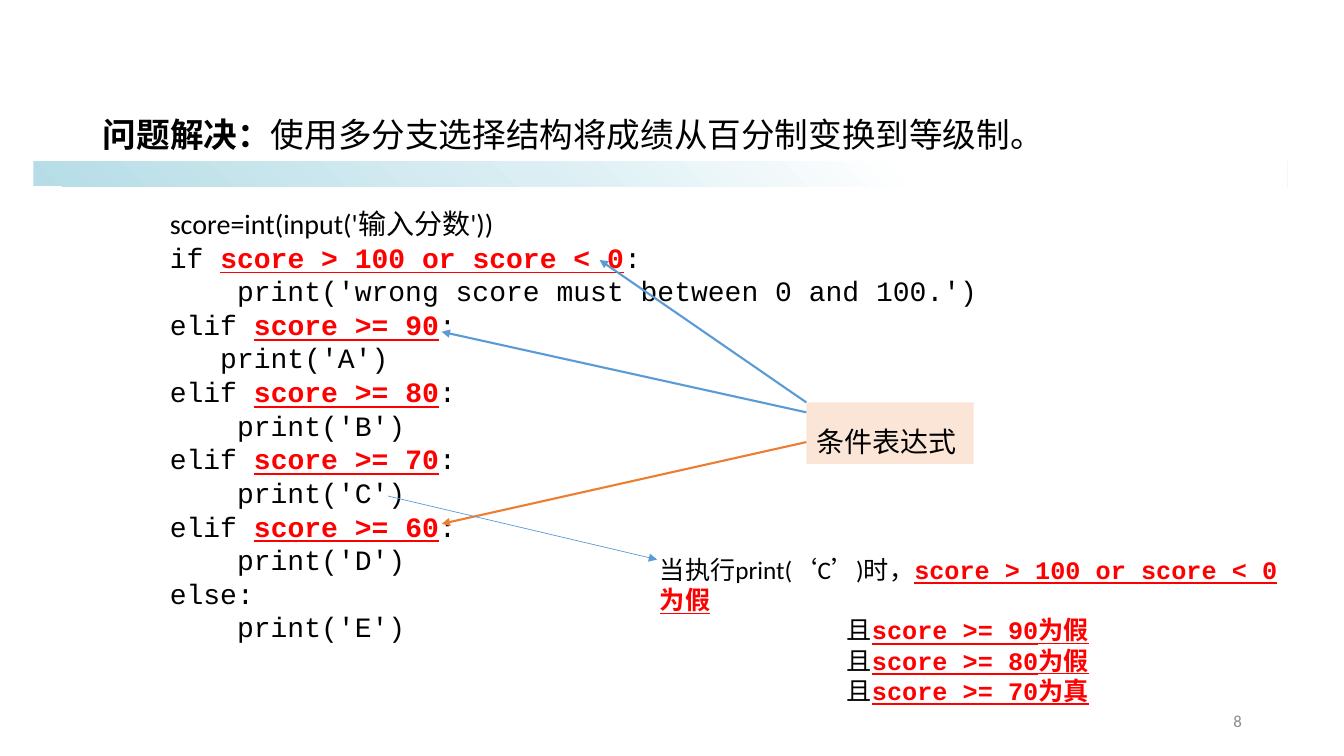
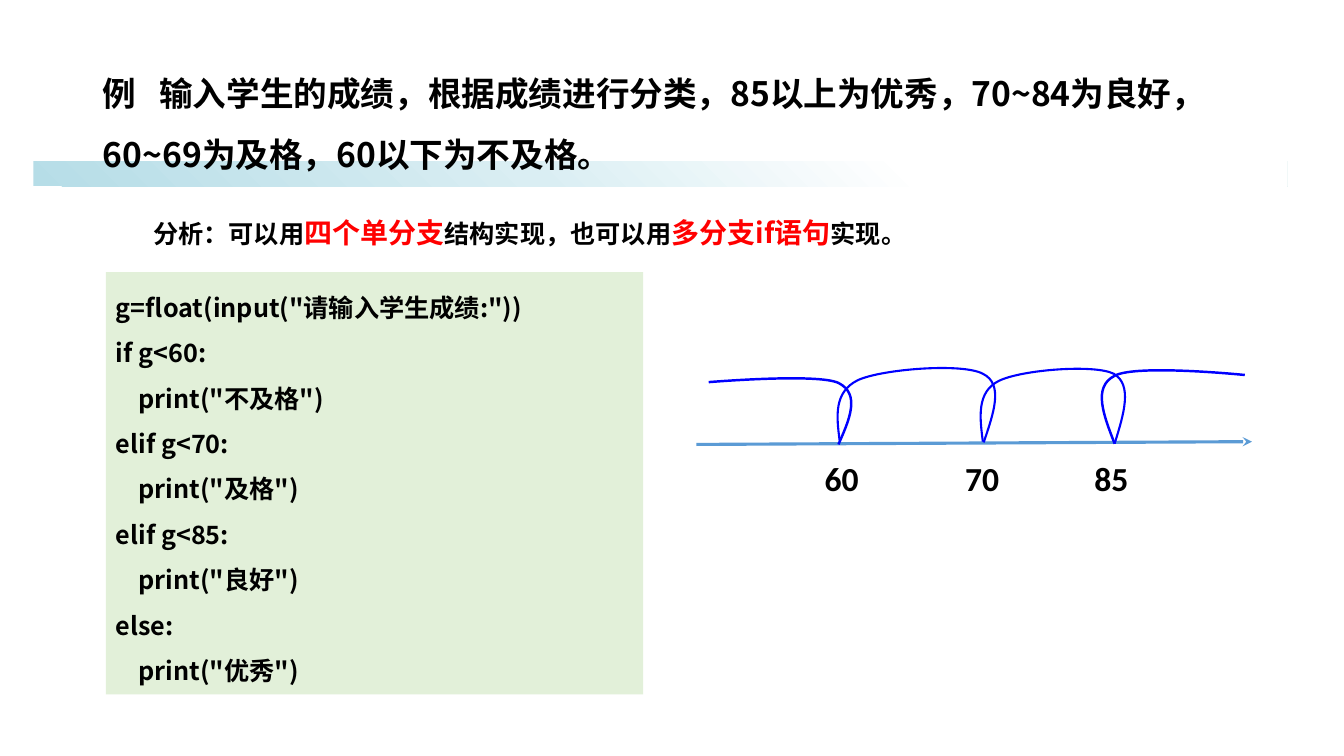
from dataclasses import dataclass

from lxml import etree
from pptx import Presentation
from pptx.dml.color import RGBColor
from pptx.enum import shapes, text
from pptx.oxml import ns
from pptx.util import Cm, Pt


@dataclass(frozen=True)
class Theme:
    black: str = "000000"
    red: str = "FF0000"
    gray: str = "8C8C8C"
    blue: str = "5B9BD5"
    orange: str = "ED7D31"
    curve: str = "0000FF"
    peach: str = "FBE5D6"
    green: str = "E2F0D9"
    band: tuple = ((0, "B6DDE7"), (40, "DAEEF3"), (70, "FFFFFF"), (100, "FFFFFF"))
    sans: str = "Noto Sans CJK SC"
    latin: str = "Calibri"
    mono: str = "Courier New"
    title: int = 24
    large: int = 20
    body: int = 18
    small: int = 12
    leading: float = 1.2


THEME = Theme()
TITLE_BOX = (2.34, 1.02, 29.21, 3.68)
BAND_BOX = (0.84, 4.06, 31.6, 0.64)


def style(name, size, color=THEME.black, bold=False, underline=False):
    return dict(name=name, size=Pt(size), color=color, bold=bold, underline=underline)


def add_child(parent, tag, **attributes):
    return etree.SubElement(parent, ns.qn(tag), attributes)


def format_run(run, values):
    for key, value in values.items():
        if key == "color":
            run.font.color.rgb = RGBColor.from_string(value)
        else:
            setattr(run.font, key, value)
    add_child(run.font._element, "a:ea", typeface=THEME.sans)


def write_text(frame, lines, plain, strong=None, spacing=1,
               align=text.PP_ALIGN.LEFT, anchor=text.MSO_ANCHOR.TOP):
    frame.word_wrap = True
    frame.auto_size = text.MSO_AUTO_SIZE.NONE
    frame.vertical_anchor = anchor
    size = max(values["size"].pt for values in (plain, strong or plain))
    for index, line in enumerate(lines):
        paragraph = frame.paragraphs[0] if index == 0 else frame.add_paragraph()
        paragraph.alignment = align
        paragraph.line_spacing = Pt(round(THEME.leading * size * spacing, 1))
        for position, part in enumerate(line.split("*")):
            if part:
                run = paragraph.add_run()
                run.text = part
                format_run(run, strong if position % 2 else plain)


def indent_paragraphs(paragraphs, margin, first=0):
    for paragraph in paragraphs:
        properties = paragraph._p.get_or_add_pPr()
        properties.set("marL", str(Cm(margin)))
        properties.set("indent", str(Cm(first)))


def add_text(slide, box, lines, plain, **options):
    frame = slide.shapes.add_textbox(*map(Cm, box)).text_frame
    write_text(frame, lines, plain, **options)
    return frame


def add_panel(slide, box, color, lines, plain, **options):
    shape = slide.shapes.add_shape(shapes.MSO_SHAPE.RECTANGLE, *map(Cm, box))
    shape.shadow.inherit = False
    shape.fill.solid()
    shape.fill.fore_color.rgb = RGBColor.from_string(color)
    shape.line.fill.background()
    write_text(shape.text_frame, lines, plain, **options)


def add_arrow(slide, start, end, color, width, head="triangle"):
    connector = slide.shapes.add_connector(
        shapes.MSO_CONNECTOR.STRAIGHT, *map(Cm, (*start, *end)))
    connector.line.color.rgb = RGBColor.from_string(color)
    connector.line.width = Pt(width)
    add_child(connector.line._get_or_add_ln(), "a:tailEnd", type=head)
    add_child(connector._element.spPr, "a:effectLst")


def add_layout_band(layout, slide):
    shape = slide.shapes.add_shape(shapes.MSO_SHAPE.RECTANGLE, *map(Cm, BAND_BOX))
    shape.shadow.inherit = False
    shape.line.fill.background()
    gradient = etree.Element(ns.qn("a:gradFill"), rotWithShape="1")
    stops = add_child(gradient, "a:gsLst")
    for percent, color in THEME.band:
        stop = add_child(stops, "a:gs", pos=str(percent * 1000))
        add_child(stop, "a:srgbClr", val=color)
    add_child(gradient, "a:lin", ang=str(315 * 60000), scaled="1")
    shape._element.spPr.find(ns.qn("a:prstGeom")).addnext(gradient)
    layout.shapes.element.insert(2, shape.element)


def set_title(slide, line, spacing, plain_bold=False):
    title = slide.shapes.title
    title.left, title.top, title.width, title.height = map(Cm, TITLE_BOX)
    write_text(title.text_frame, [line], style(THEME.sans, THEME.title, bold=plain_bold),
               strong=style(THEME.sans, THEME.title, bold=True),
               spacing=spacing, anchor=text.MSO_ANCHOR.MIDDLE)
    return title.text_frame.paragraphs[0]


def add_grade_code(slide, box):
    lines = ["score=int(input('输入分数'))",
             "if *score > 100 or score < 0*:",
             "    print('wrong score must between 0 and 100.')",
             "elif *score >= 90*:",
             "   print('A')"]
    for limit, grade in ((80, "B"), (70, "C"), (60, "D")):
        lines += [f"elif *score >= {limit}*:", f"    print('{grade}')"]
    lines += ["else:", "    print('E')"]
    frame = add_text(slide, box, lines, style(THEME.mono, THEME.large),
                     strong=style(THEME.mono, THEME.large, THEME.red, True, True))
    frame.paragraphs[0].runs[0].font.name = THEME.latin
    indent_paragraphs(frame.paragraphs, 1.69)


def add_condition_label(slide, box):
    left, top = box[:2]
    add_panel(slide, box, THEME.peach, ["条件表达式"],
              style(THEME.sans, THEME.large), spacing=1.5)
    for offset, end, color in ((0, (15.11, 6.55), THEME.blue),
                               (0.25, (11.13, 8.36), THEME.blue),
                               (1, (11.13, 13.2), THEME.orange)):
        add_arrow(slide, (left, top + offset), end, color, 1.5)


def add_execution_note(slide, box):
    left, top = box[:2]
    add_arrow(slide, (9.78, 12.5), (left + 0.18, top + 0.26), THEME.blue, 0.5)
    lines = ["当执行print(‘C’)时，*score > 100 or score < 0为假*"]
    lines += [f"且*score >= {limit}为{truth}*"
              for limit, truth in ((90, "假"), (80, "假"), (70, "真"))]
    frame = add_text(slide, box, lines, style(THEME.latin, THEME.body),
                     strong=style(THEME.mono, THEME.body, THEME.red, True, True))
    indent_paragraphs(frame.paragraphs[1:], 4.71)


def add_analysis(slide, box):
    frame = add_text(
        slide, box, ["分析：可以用*四个单分支*结构实现，也可以用*多分支if语句*实现。"],
        style(THEME.sans, THEME.body, bold=True),
        strong=style(THEME.sans, THEME.large, THEME.red, True), spacing=1.5)
    indent_paragraphs(frame.paragraphs, 0, 1.27)


def add_class_code(slide, box):
    lines = ['g=float(input("请输入学生成绩:"))']
    for branch, grade in (("if g<60", "不及格"), ("elif g<70", "及格"),
                          ("elif g<85", "良好"), ("else", "优秀")):
        lines += [f"{branch}:", f'    print("{grade}")']
    add_panel(slide, box, THEME.green, lines,
              style(THEME.sans, THEME.body, bold=True), spacing=1.5)


def bezier_points(controls, steps=24):
    for start in range(0, len(controls) - 1, 3):
        segment = controls[start:start + 4]
        for step in range(steps + 1):
            t = step / steps
            weights = ((1 - t) ** 3, 3 * t * (1 - t) ** 2, 3 * t ** 2 * (1 - t), t ** 3)
            yield tuple(round(sum(weight * point[axis]
                                  for weight, point in zip(weights, segment)))
                        for axis in (0, 1))


def add_curve(slide, origin, offsets, width):
    controls = [tuple(Cm(start + offset) for start, offset in zip(origin, point))
                for point in offsets]
    extent = list(bezier_points(controls))
    builder = slide.shapes.build_freeform(*extent[0], scale=1.0)
    builder.add_line_segments(extent[1:], close=False)
    shape = builder.convert_to_shape()
    outline = shape._element.spPr.find(".//" + ns.qn("a:path"))
    for child in list(outline):
        outline.remove(child)
    steps = [("a:moveTo", controls[:1])]
    steps += [("a:cubicBezTo", controls[start:start + 3])
              for start in range(1, len(controls), 3)]
    for tag, points in steps:
        step = add_child(outline, tag)
        for x, y in points:
            add_child(step, "a:pt", x=str(x - shape.left), y=str(y - shape.top))
    shape.shadow.inherit = False
    shape.fill.background()
    shape.line.color.rgb = RGBColor.from_string(THEME.curve)
    shape.line.width = Pt(width)


def add_number_line(slide, origin):
    left, top = origin
    add_arrow(slide, (left + 0.05, top + 2), (left + 14.05, top + 1.93),
              THEME.blue, 2.25, "stealth")
    below_60 = [(3.63, 2), (3.91, 1.37), (4.19, 0.73), (3.63, 0.45),
                (3.1, 0.2), (0.36, 0.43), (0.36, 0.43)]
    from_60 = [(7.29, 1.95), (7.54, 1.21), (7.8, 0.48), (7.27, 0.22), (6.76, -0.06),
               (4.73, 0.1), (4.12, 0.38), (3.51, 0.68), (3.58, 1.29), (3.66, 1.9)]
    from_70 = [(10.59, 1.98), (10.82, 1.24), (11.05, 0.5), (10.57, 0.22), (10.08, -0.03),
               (8.23, 0.12), (7.67, 0.4), (7.11, 0.68), (7.19, 1.32), (7.27, 1.93)]
    from_85 = [(10.59, 1.98), (10.31, 1.26), (10.03, 0.55), (10.59, 0.27),
               (11.13, -0.03), (13.87, 0.25), (13.87, 0.25)]
    for offsets, width in ((below_60, 1.75), (from_60, 1.5),
                           (from_70, 1.5), (from_85, 1.75)):
        add_curve(slide, origin, offsets, width)
    for label, center in (("60", 3.71), ("70", 7.25), ("85", 10.51)):
        add_text(slide, (left + center - 0.69, top + 2.22, 1.38, 1.27), [label],
                 style(THEME.latin, THEME.title, bold=True),
                 align=text.PP_ALIGN.CENTER)


def build_grade_slide(slide):
    set_title(slide, "*问题解决：*使用多分支选择结构将成绩从百分制变换到等级制。", 2)
    add_grade_code(slide, (2.34, 5.08, 29.21, 12.09))
    add_text(slide, (23.93, 17.65, 7.62, 1.02), ["8"],
             style(THEME.latin, THEME.small, THEME.gray),
             align=text.PP_ALIGN.RIGHT, anchor=text.MSO_ANCHOR.MIDDLE)
    add_condition_label(slide, (20.32, 10.14, 4.22, 1.55))
    add_execution_note(slide, (16.38, 13.84, 16.13, 3.33))


def build_class_slide(slide):
    paragraph = set_title(
        slide, "例* *输入学生的成绩，根据成绩进行分类，85以上为优秀，70~84为良好，"
               "60~69为及格，60以下为不及格。", 1.5, plain_bold=True)
    paragraph.runs[1].font._element.set("spc", "1080")
    add_analysis(slide, (2.34, 4.88, 23.14, 1.4))
    add_class_code(slide, (2.67, 6.86, 13.54, 10.64))
    add_number_line(slide, (17.5, 9.2))


def main():
    presentation = Presentation()
    presentation.slide_width, presentation.slide_height = Cm(33.87), Cm(19.05)
    layout = presentation.slide_layouts[5]
    grade_slide, class_slide = (presentation.slides.add_slide(layout) for _ in range(2))
    add_layout_band(layout, grade_slide)
    build_grade_slide(grade_slide)
    build_class_slide(class_slide)
    presentation.save("out.pptx")


if __name__ == "__main__":
    main()
